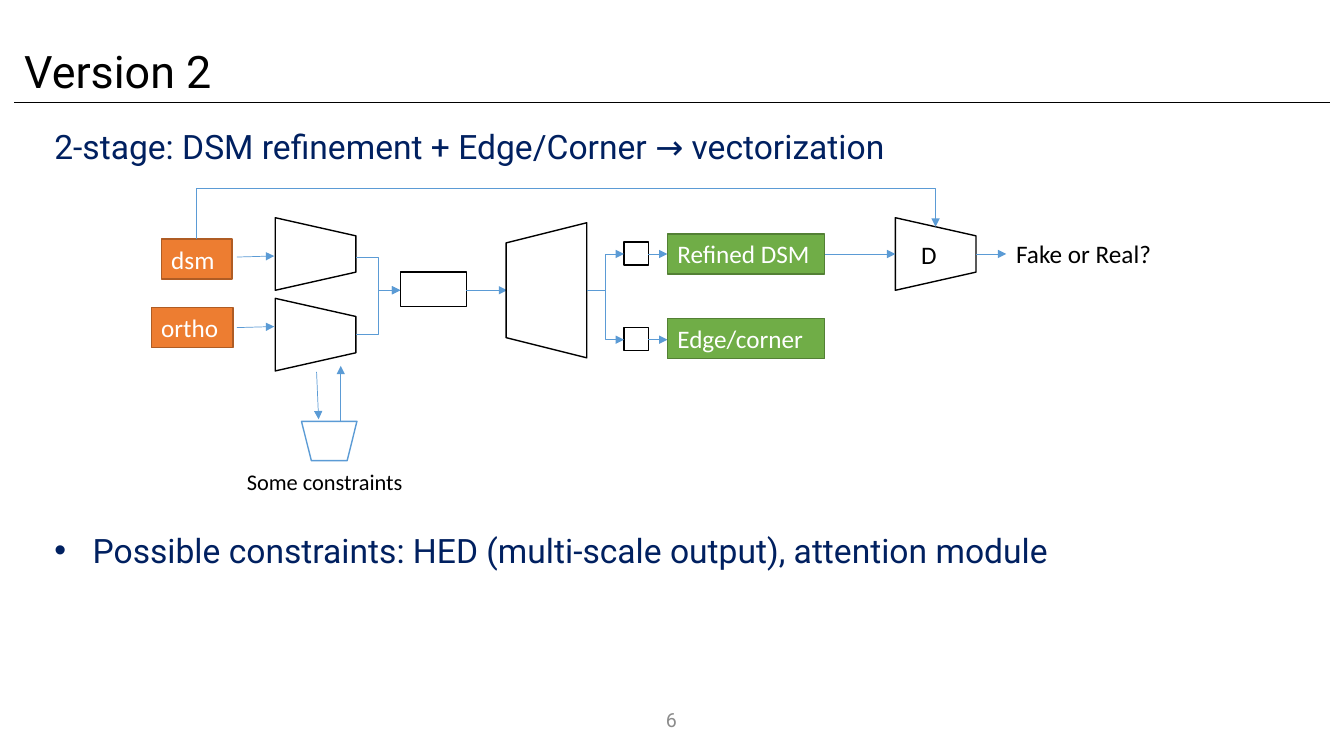
from lxml import etree
from pptx import Presentation
from pptx import util as u
from pptx.dml.color import RGBColor
from pptx.enum import shapes, text
from pptx.oxml.ns import qn

CELL = u.Inches(0.1)
COLORS = {
    "black": "000000", "white": "FFFFFF", "grey": "8C8C8C", "navy": "002060",
    "blue": "5B9BD5", "orange": "ED7D31", "rust": "AF5C24",
    "green": "70AD47", "forest": "538035",
}
UPPER, MIDDLE, LOWER = 25.2, 28.8, 33.7


def grid(*cells):
    return [round(cell * CELL) for cell in cells]


def color(name):
    return RGBColor.from_string(COLORS[name])


def write(para, words, size, ink, face="Calibri", align=text.PP_ALIGN.LEFT):
    para.text = words
    para.alignment = align
    para.font.size = u.Pt(size)
    para.font.name = face
    para.font.color.rgb = color(ink)


def add_text(page, at, words, size, ink, face="Calibri", wrap=True, **style):
    frame = page.shapes.add_textbox(*grid(*at)).text_frame
    frame.word_wrap = wrap
    write(frame.paragraphs[0], words, size, ink, face, **style)
    return frame


def add_block(page, kind, at, fill="white", outline="black", rotation=0):
    block = page.shapes.add_shape(kind, *grid(*at))
    block.rotation = rotation
    block.shadow.inherit = False
    block.fill.solid()
    block.fill.fore_color.rgb = color(fill)
    block.line.color.rgb = color(outline)
    block.line.width = u.Pt(1)
    return block


def add_box(page, at, *paint):
    return add_block(page, shapes.MSO_SHAPE.RECTANGLE, at, *paint)


def add_trapezoid(page, at, rotation, outline="black"):
    return add_block(page, shapes.MSO_SHAPE.TRAPEZOID, at, "white", outline, rotation)


def add_label(page, at, words, fill, outline):
    frame = add_box(page, at, fill, outline).text_frame
    frame.vertical_anchor = text.MSO_ANCHOR.TOP
    frame.auto_size = text.MSO_AUTO_SIZE.SHAPE_TO_FIT_TEXT
    write(frame.paragraphs[0], words, 18, "white")


def add_line(page, start, end, ink="blue", bent=False, arrow=True):
    kind = shapes.MSO_CONNECTOR.ELBOW if bent else shapes.MSO_CONNECTOR.STRAIGHT
    line = page.shapes.add_connector(kind, *grid(*start, *end))
    line.line.color.rgb = color(ink)
    line.line.width = u.Pt(0.5)
    if arrow:
        etree.SubElement(line.line._get_or_add_ln(), qn("a:tailEnd"), type="triangle")
    etree.SubElement(line._element.spPr, qn("a:effectLst"))
    return line


def add_overpass(page, start, end, rise):
    middle_x, middle_y = (start[0] + end[0]) / 2, (start[1] + end[1]) / 2
    drop = start[1] - end[1]
    half_width, half_height = drop / 2, (end[0] - start[0]) / 2
    line = add_line(page, (middle_x + half_width, middle_y + half_height),
                    (middle_x - half_width, middle_y - half_height), bent=True)
    properties = line._element.spPr
    properties.find(qn("a:xfrm")).set("rot", "5400000")
    guides = properties.find(qn("a:prstGeom")).get_or_add_avLst()
    etree.SubElement(guides, qn("a:gd"), name="adj1",
                     fmla=f"val {round(rise / drop * 100000)}")


def add_heading(page):
    title = page.shapes.title
    title.left, title.top, title.width, title.height = grid(1.4, 3.8, 64.6, 6.4)
    title.text_frame.vertical_anchor = text.MSO_ANCHOR.TOP
    write(title.text_frame.paragraphs[0], "Version 2", 32, "black", "Roboto")
    add_line(page, (1.4, 10.2), (131.9, 10.2), "black", arrow=False)


def add_body(page):
    frame = add_text(page, (4.4, 12, 121.5, 53.5),
                     "2-stage: DSM refinement + Edge/Corner → vectorization",
                     24, "navy", "Roboto")
    para = frame.add_paragraph()
    write(para, "Possible constraints: HED (multi-scale output), attention module",
          24, "navy", "Roboto")
    para.space_before = u.Pt(260)
    properties = para._p.get_or_add_pPr()
    indent = round(3.8 * CELL)
    properties.set("marL", str(indent))
    properties.set("indent", str(-indent))
    etree.SubElement(properties, qn("a:buFont"), typeface="Arial")
    etree.SubElement(properties, qn("a:buChar"), char="•")
    properties.append(properties.find(qn("a:defRPr")))


def add_encoders(page):
    inputs = [("dsm", 16, 23.7, 7, 21.2, 25.5), ("ortho", 15, 30.5, 8.1, 29.2, 32.5)]
    for words, left, top, width, encoder_top, arrow_y in inputs:
        add_label(page, (left, top, width, 4), words, "orange", "rust")
        add_trapezoid(page, (27.7, encoder_top, 7.2, 8), 90)
        add_line(page, (23.5, arrow_y), (27.2, arrow_y - 0.1))
    for exit_y in (25.5, 33.2):
        add_line(page, (35.3, exit_y), (39.7, MIDDLE), bent=True)
    add_box(page, (39.7, 27, 6.6, 3.4))
    add_line(page, (46.2, MIDDLE), (50.3, MIDDLE))


def add_constraints(page):
    add_trapezoid(page, (29.9, 41.8, 5.5, 3.9), 180, "blue")
    add_line(page, (31.4, 36.9), (31.6, 41.6))
    add_line(page, (33.8, 41.8), (33.8, 36.3))
    add_text(page, (23.5, 46, 18.5, 3.7), "Some constraints", 16, "black")


def add_decoder(page):
    add_trapezoid(page, (47.5, 24.8, 13.4, 8), 270)
    for words, middle, top in (("Refined DSM", UPPER, 23.2), ("Edge/corner", LOWER, 31.6)):
        add_box(page, (61.9, middle - 1.2, 2.4, 2.3))
        add_line(page, (58.2, MIDDLE), (61.9, middle), bent=True)
        add_line(page, (64.3, middle), (66.2, middle))
        add_label(page, (66.2, top, 15.6, 4), words, "green", "forest")


def add_discriminator(page):
    frame = add_trapezoid(page, (89.2, 21.2, 7.2, 8), 90).text_frame
    frame.vertical_anchor = text.MSO_ANCHOR.MIDDLE
    frame._txBody.bodyPr.set("vert", "vert270")
    write(frame.paragraphs[0], "D", 18, "black", align=text.PP_ALIGN.CENTER)
    add_line(page, (81.8, UPPER), (88.8, UPPER))
    add_line(page, (96.8, UPPER), (99.8, UPPER))
    add_text(page, (99.8, 23.2, 15.6, 4), "Fake or Real?", 18, "black", wrap=False)
    add_overpass(page, (19.5, 23.7), (92.8, 22.5), 5)


def main():
    deck = Presentation()
    deck.slide_width, deck.slide_height = u.Inches(13.33), u.Inches(7.5)
    page = deck.slides.add_slide(deck.slide_layouts.get_by_name("Title Only"))
    add_heading(page)
    add_body(page)
    add_encoders(page)
    add_constraints(page)
    add_decoder(page)
    add_discriminator(page)
    number = add_text(page, (51.6, 69.4, 30, 4), "6", 14, "grey", "Roboto",
                      align=text.PP_ALIGN.CENTER)
    number.vertical_anchor = text.MSO_ANCHOR.MIDDLE
    deck.save("out.pptx")


if __name__ == "__main__":
    main()
